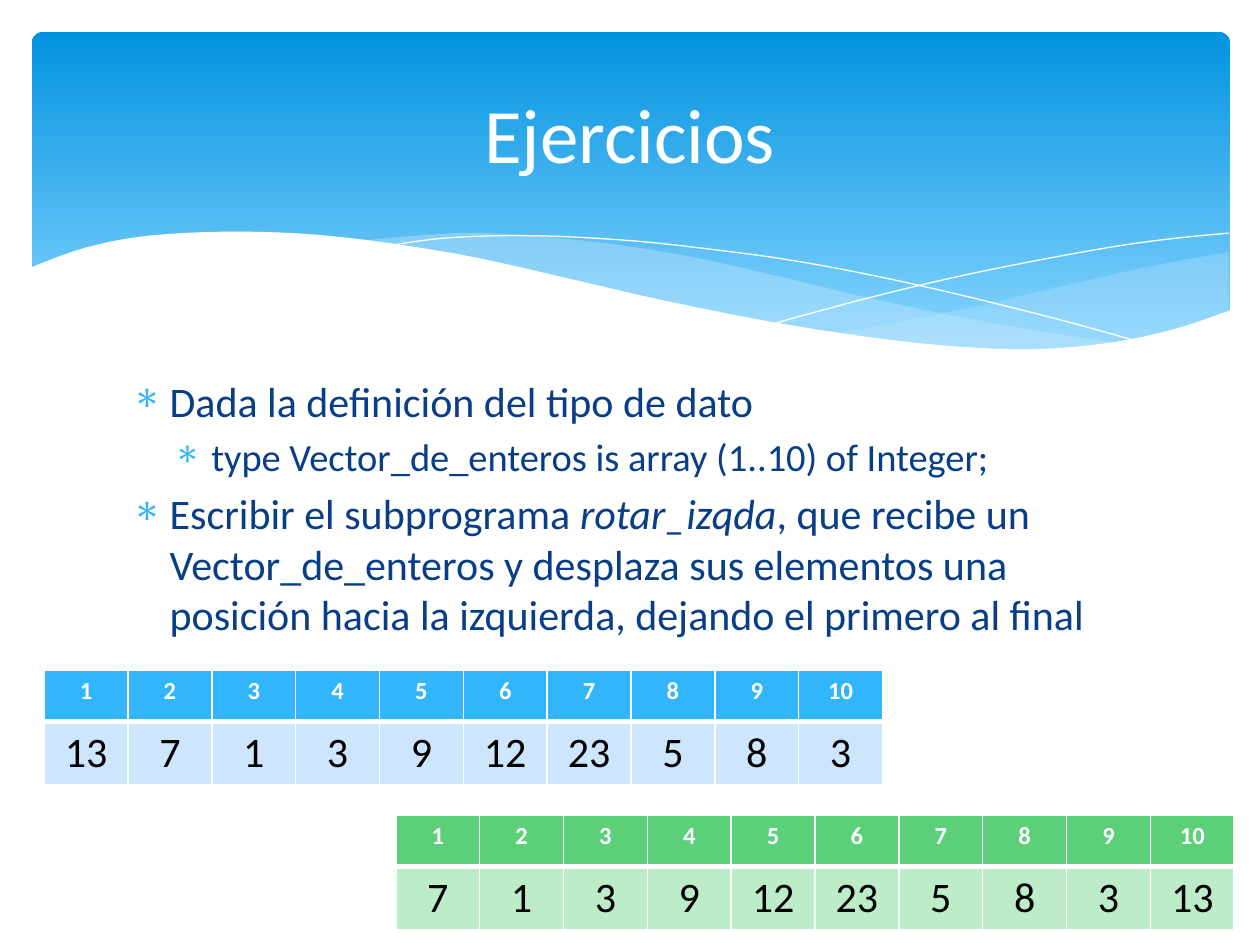
from lxml.etree import SubElement
from pptx import Presentation
from pptx.dml.color import RGBColor
from pptx.enum.shapes import MSO_SHAPE as Preset
from pptx.enum.text import MSO_ANCHOR as Anchor, PP_ALIGN as Align
from pptx.oxml.ns import qn
from pptx.util import Cm, Pt

FONT = "Calibri"
WHITE, BLACK, NAVY, SKY = "FFFFFF", "000000", "073E87", "31B6FD"
MIST = "C6E7FC"


def colour(hex_code):
    return RGBColor.from_string(hex_code)


def add_solid(parent, hex_code):
    fill = SubElement(parent, qn("a:solidFill"))
    SubElement(fill, qn("a:srgbClr"), val=hex_code)


def curve(points, steps=5):
    """Catmull-Rom curve through the points."""
    padded = [points[0], *points, points[-1]]
    result = [points[0]]
    for a, b, c, d in zip(padded, padded[1:], padded[2:], padded[3:]):
        for step in range(1, steps + 1):
            t = step / steps
            result.append(tuple(
                (2 * q + (r - p) * t + (2 * p - 5 * q + 4 * r - s) * t ** 2
                 + (3 * q - p - 3 * r + s) * t ** 3) / 2
                for p, q, r, s in zip(a, b, c, d)))
    return result


class SlideMaker:
    def __init__(self, slide):
        self.slide = slide
        self.shapes = slide.shapes

    def style(self, font, hex_code, **values):
        for key, value in {"name": FONT, **values}.items():
            setattr(font, key, value)
        font.color.rgb = colour(hex_code)

    def banner(self, left, top, width, height, stops, radius):
        panel = self.shapes.add_shape(Preset.ROUNDED_RECTANGLE, Cm(left), Cm(top), Cm(width), Cm(height))
        panel.shadow.inherit = False
        panel.adjustments[0] = radius
        panel.line.fill.background()
        panel.fill.gradient()
        panel.fill.gradient_angle = 270
        for stop, (position, hex_code) in zip(panel.fill.gradient_stops, stops):
            stop.position = position
            stop.color.rgb = colour(hex_code)

    def outline(self, points, closed):
        places = [(Cm(x), Cm(y)) for x, y in points]
        builder = self.shapes.build_freeform(*places[0])
        builder.add_line_segments(places[1:], close=closed)
        form = builder.convert_to_shape()
        form.shadow.inherit = False
        return form

    def wave(self, points, hex_code, opacity=100):
        form = self.outline(points, True)
        form.line.fill.background()
        form.fill.solid()
        form.fill.fore_color.rgb = colour(hex_code)
        if opacity < 100:
            tint = form.fill._xPr.find(".//" + qn("a:srgbClr"))
            SubElement(tint, qn("a:alpha"), val=str(opacity * 1000))

    def strand(self, points):
        form = self.outline(points, False)
        form.fill.background()
        form.line.color.rgb = colour(WHITE)
        form.line.width = Pt(0)

    def text_frame(self, left, top, width, height, anchor):
        frame = self.shapes.add_textbox(Cm(left), Cm(top), Cm(width), Cm(height)).text_frame
        frame.word_wrap = True
        frame.vertical_anchor = anchor
        return frame

    def title(self, words, *place):
        line = self.text_frame(*place, Anchor.MIDDLE).paragraphs[0]
        line.alignment = Align.CENTER
        run = line.add_run()
        run.text = words
        self.style(run.font, WHITE, size=Pt(44))

    def bullets(self, items, *place):
        frame = self.text_frame(*place, Anchor.TOP)
        for index, (level, size, runs) in enumerate(items):
            item = frame.add_paragraph() if index else frame.paragraphs[0]
            item.level = level
            item.space_before = Pt(size * 0.2)
            props = item._p.get_or_add_pPr()
            props.set("marL", str(Cm(0.76 + 0.84 * level)))
            props.set("indent", str(-Cm(0.76)))
            tint = SubElement(props, qn("a:buClr"))
            SubElement(tint, qn("a:srgbClr"), val=SKY)
            SubElement(props, qn("a:buChar"), char="∗")
            for words, italic in runs:
                run = item.add_run()
                run.text = words
                self.style(run.font, NAVY, size=Pt(size), italic=italic)

    def borders(self, cell, widths):
        props = cell._tc.get_or_add_tcPr()
        for side, width in widths.items():
            edge = SubElement(props, qn("a:ln" + side), w=str(Pt(width)))
            add_solid(edge, WHITE)

    def vector(self, left, top, values, head_fill, body_fill):
        width, heights = 1.69, (1.04, 1.27)
        table = self.shapes.add_table(2, len(values), Cm(left), Cm(top),
                                      Cm(width * len(values)), Cm(sum(heights))).table
        table.horz_banding = False
        for column in table.columns:
            column.width = Cm(width)
        looks = (
            (range(1, len(values) + 1), head_fill, {"L": 1, "R": 1, "T": 1, "B": 3},
             WHITE, {"size": Pt(14), "bold": True}),
            (values, body_fill, {"L": 1, "R": 1, "T": 3, "B": 1},
             BLACK, {"size": Pt(24), "bold": False}),
        )
        for row, (numbers, fill, widths, ink, font) in enumerate(looks):
            table.rows[row].height = Cm(heights[row])
            for column, number in enumerate(numbers):
                cell = table.cell(row, column)
                self.borders(cell, widths)
                cell.fill.solid()
                cell.fill.fore_color.rgb = colour(fill)
                line = cell.text_frame.paragraphs[0]
                line.alignment = Align.CENTER
                run = line.add_run()
                run.text = str(number)
                self.style(run.font, ink, **font)


def main():
    deck = Presentation()
    deck.slide_width, deck.slide_height = Cm(25.4), Cm(19.05)
    maker = SlideMaker(deck.slides.add_slide(deck.slide_layouts[6]))

    # Header banner
    maker.banner(0.64, 0.64, 24.16, 6.86, ((0, "0293E0"), (0.9, "83D3FE")), 0.034)

    # Translucent waves, each an upper and a lower edge
    right_top = [(24.77, 5.08), (23.39, 5.33), (21.87, 5.66), (19.79, 6.15), (17.93, 6.53), (16.79, 6.73)]
    right_bottom = [(16.79, 6.73), (17.91, 6.88), (19.23, 7.01), (20.68, 7.06), (22.15, 6.96),
                    (23.39, 6.73), (24.77, 6.27)]
    left_top = [(22.68, 6.93), (20.5, 6.6), (17.93, 6.1), (15.98, 5.64), (14.1, 5.21), (12.42, 4.93),
                (10.67, 4.75), (9.17, 4.7), (7.26, 4.85)]
    left_bottom = [(7.26, 4.85), (9.19, 5.16), (11.4, 5.64), (14.38, 6.3), (16.51, 6.71),
                   (18.34, 6.96), (20.5, 7.06), (22.68, 6.93)]
    maker.wave(curve(right_top) + curve(right_bottom), MIST, 29)
    maker.wave(curve(left_top) + curve(left_bottom), MIST, 40)

    # Thin strands
    maker.strand(curve([(7.85, 4.95), (8.97, 4.8), (10.57, 4.75), (12.42, 4.83), (14.12, 5),
                        (16.15, 5.28), (18.47, 5.74), (21.11, 6.38), (23.04, 6.91)]))
    maker.strand(curve([(15.57, 6.53), (17.65, 5.97), (19.71, 5.49), (22, 5.05), (23.47, 4.83), (24.77, 4.7)]))

    # White wave that cuts the banner's lower edge
    crest = [(0.58, 5.41), (1.7, 5), (3.02, 4.75), (4.9, 4.67), (6.88, 4.78), (9.27, 5.13), (11.35, 5.59),
             (13.44, 6.07), (15.9, 6.55), (18.44, 6.91), (20.55, 7.04), (22.23, 6.93), (23.62, 6.65), (24.82, 6.25)]
    maker.wave(curve(crest) + [(24.82, 8.36), (0.58, 8.36)], WHITE)

    # Statement of the exercise
    maker.bullets((
        (0, 24, [("Dada la definición del tipo de dato", False)]),
        (1, 22, [("type Vector_de_enteros is array (1..10) of Integer;", False)]),
        (0, 24, [("Escribir el subprograma ", False), ("rotar_izqda", True),
                 (", que recibe un Vector_de_enteros y desplaza sus elementos una posición "
                  "hacia la izquierda, dejando el primero al final", False)]),
    ), 2.41, 7.44, 20.57, 9.58)
    maker.title("Ejercicios", 1.27, 0.94, 22.86, 3.48)

    # Vector before and after the rotation
    before = [13, 7, 1, 3, 9, 12, 23, 5, 8, 3]
    after = before[1:] + before[:1]
    maker.vector(0.89, 13.51, before, SKY, "CEE5FE")
    maker.vector(7.98, 16.43, after, "5BD078", "BDECC9")

    deck.save("out.pptx")


if __name__ == "__main__":
    main()
